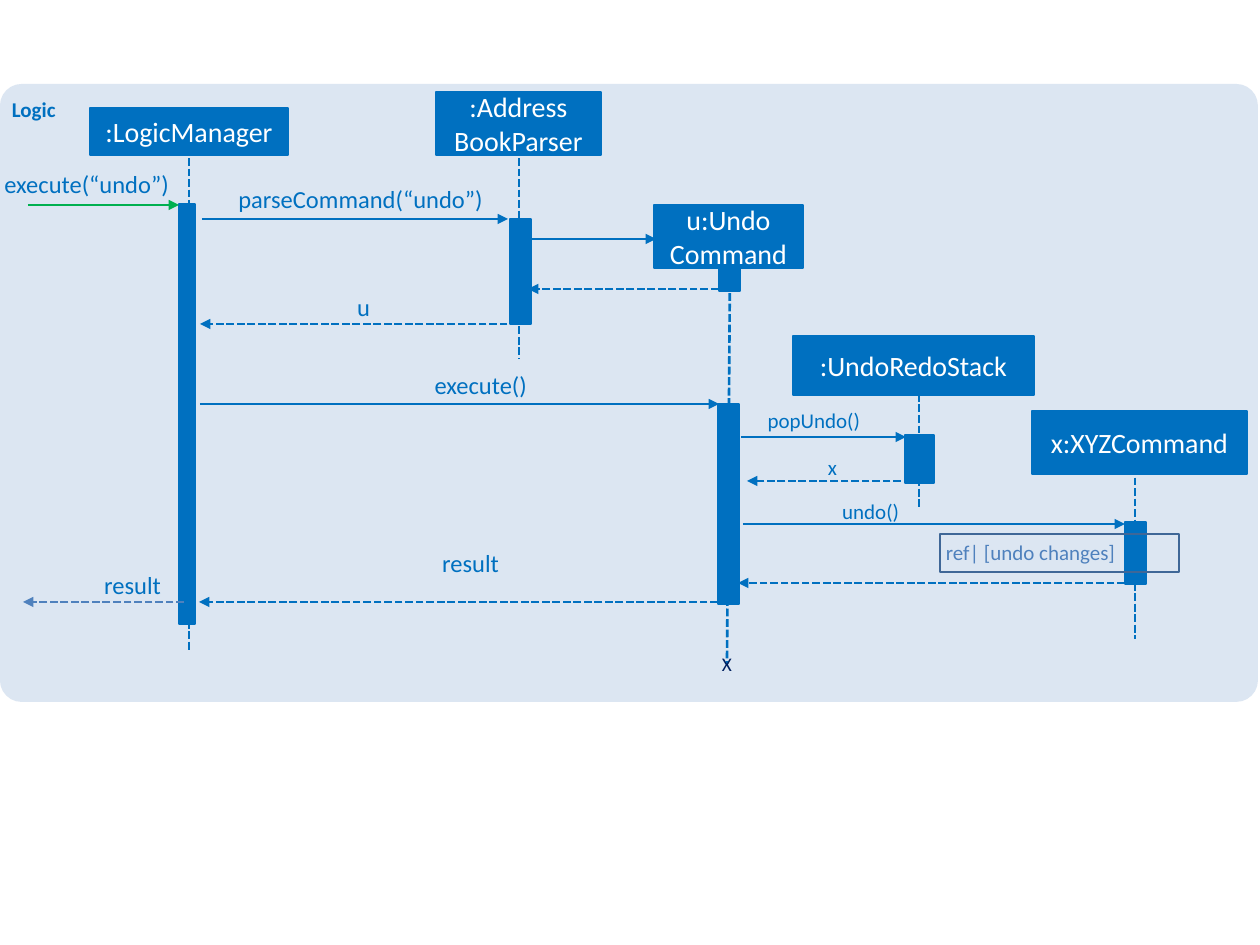
import pptx
import pptx.util
import pptx.dml.color
import pptx.enum.dml
import pptx.enum.shapes
import pptx.enum.text
import pptx.oxml
import pptx.oxml.ns

RGBColor = pptx.dml.color.RGBColor
Shapes = pptx.enum.shapes.MSO_SHAPE
Align = pptx.enum.text.PP_ALIGN
Anchor = pptx.enum.text.MSO_ANCHOR
qn = pptx.oxml.ns.qn

BLUE = RGBColor(0x00, 0x70, 0xC0)
STEEL = RGBColor(0x4F, 0x81, 0xBD)
FRAME = RGBColor(0x3F, 0x67, 0x97)
NAVY = RGBColor(0x00, 0x20, 0x60)
GREEN = RGBColor(0x00, 0xB0, 0x50)
PALE = RGBColor(0xDC, 0xE6, 0xF2)
WHITE = RGBColor(0xFF, 0xFF, 0xFF)


def px(length):
    """Turn picture pixels into EMU."""
    return pptx.util.Emu(round(length * 914400 / 126))


class SequenceDiagram:
    """Draws sequence diagram elements on one slide."""

    font = "Calibri"
    line_width = 1.5
    inset = 6

    def __init__(self, slide):
        """Keep the slide to draw on."""
        self.slide = slide

    def set_text(self, shape, text, size, color, align=Align.LEFT, inset=0,
                 anchor=Anchor.TOP, bold=False, wrap=True):
        """Fill a shape with text in one style."""
        frame = shape.text_frame
        frame.word_wrap = wrap
        frame.vertical_anchor = anchor
        frame.margin_left = frame.margin_right = px(inset)
        frame.margin_top = frame.margin_bottom = px(inset)
        frame.text = text
        for paragraph in frame.paragraphs:
            paragraph.alignment = align
            font = paragraph.font
            font.name, font.size, font.bold = self.font, pptx.util.Pt(size), bold
            font.color.rgb = color

    def box(self, left, top, width, height, fill=None, line=None,
            line_width=0.75, kind=Shapes.RECTANGLE):
        """Add a preset shape with optional fill and outline."""
        shape = self.slide.shapes.add_shape(
            kind, px(left), px(top), px(width), px(height))
        shape.shadow.inherit = False
        if fill is None:
            shape.fill.background()
        else:
            shape.fill.solid()
            shape.fill.fore_color.rgb = fill
        if line is None:
            shape.line.fill.background()
        else:
            shape.line.color.rgb = line
            shape.line.width = pptx.util.Pt(line_width)
        return shape

    def label(self, text, left, top, width, height, size=14, color=BLUE,
              align=Align.RIGHT, **style):
        """Add a text box."""
        shape = self.slide.shapes.add_textbox(
            px(left), px(top), px(width), px(height))
        self.set_text(shape, text, size, color, align, **style)

    def participant(self, text, left, top, width, height):
        """Add the named head of a lifeline."""
        shape = self.box(left, top, width, height, BLUE, BLUE, self.line_width)
        self.set_text(shape, text, 16, WHITE, Align.CENTER, self.inset, Anchor.MIDDLE)

    def line(self, x1, y1, x2, y2, color=BLUE, dashed=False, arrow=False):
        """Add a straight line, with an arrowhead at its end if asked."""
        connector = self.slide.shapes.add_connector(
            pptx.enum.shapes.MSO_CONNECTOR.STRAIGHT, px(x1), px(y1), px(x2), px(y2))
        connector.line.color.rgb = color
        connector.line.width = pptx.util.Pt(self.line_width)
        if dashed:
            connector.line.dash_style = pptx.enum.dml.MSO_LINE.SQUARE_DOT
        properties = connector._element.spPr
        if arrow:
            outline = properties.find(qn("a:ln"))
            outline.append(outline.makeelement(qn("a:tailEnd"), {"type": "triangle"}))
        properties.append(properties.makeelement(qn("a:effectLst"), {}))

    def message(self, start, end, y, color=BLUE):
        """Add a call to the right, or a dashed return to the left."""
        self.line(start, y, end, y, color, dashed=end < start, arrow=True)


presentation = pptx.Presentation()
presentation.slide_width = px(1260)
presentation.slide_height = px(945)
slide = presentation.slides.add_slide(presentation.slide_layouts[6])
diagram = SequenceDiagram(slide)

panel = diagram.box(0, 84, 1258, 618, PALE, kind=Shapes.ROUNDED_RECTANGLE)
panel.adjustments[0] = 0.035
diagram.label("Logic", 6, 91, 1245, 38, 12, align=Align.LEFT, inset=6, bold=True)

LIFELINES = [
    (189, 158, 189, 650), (519, 158, 519, 358), (730, 272, 727, 664),
    (919, 394, 919, 508), (1135, 467, 1135, 639),
]
for ends in LIFELINES:
    diagram.line(*ends, dashed=True)

ACTIVATIONS = [
    (179, 204, 16, 420), (510, 219, 21, 105), (719, 253, 21, 38),
    (718, 404, 21, 200), (905, 435, 29, 48), (1125, 522, 21, 62),
]
for bounds in ACTIVATIONS:
    diagram.box(*bounds, BLUE, BLUE)

MESSAGES = [
    (28, 179, 205, GREEN), (202, 508, 219), (532, 656, 239), (729, 528, 289),
    (518, 200, 324), (200, 719, 404), (741, 906, 437), (901, 747, 481),
    (743, 1125, 524), (1125, 738, 583), (718, 199, 602), (184, 23, 602, STEEL),
]
for message in MESSAGES:
    diagram.message(*message)

PARTICIPANTS = [
    (":LogicManager", 90, 108, 198, 47),
    (":Address\nBookParser", 436, 92, 165, 63),
    ("u:Undo\vCommand", 654, 205, 149, 63),
    (":UndoRedoStack", 793, 336, 241, 59),
    ("x:XYZCommand", 1032, 411, 215, 63),
]
for participant in PARTICIPANTS:
    diagram.participant(*participant)

LARGE_LABELS = [
    ("execute(“undo”)", 0, 169, 169), ("parseCommand(“undo”)", 226, 184, 257),
    ("u", 340, 292, 30), ("execute()", 411, 370, 116),
    ("result", 415, 548, 84), ("result", 58, 570, 103),
]
for text, left, top, width in LARGE_LABELS:
    diagram.label(text, left, top, width, 29)

SMALL_LABELS = [
    ("popUndo()", 755, 408, Align.RIGHT), ("x", 780, 455, Align.CENTER),
    ("undo()", 794, 499, Align.RIGHT),
]
for text, left, top, align in SMALL_LABELS:
    diagram.label(text, left, top, 105, 24, 12, align=align)

diagram.label("X", 716, 646, 24, 35, 11, NAVY, Align.LEFT, inset=6, wrap=False)
reference = diagram.box(940, 534, 239, 38, line=FRAME, line_width=1)
diagram.set_text(reference, "ref| [undo changes]", 12, STEEL, inset=6)

presentation.save("out.pptx")
